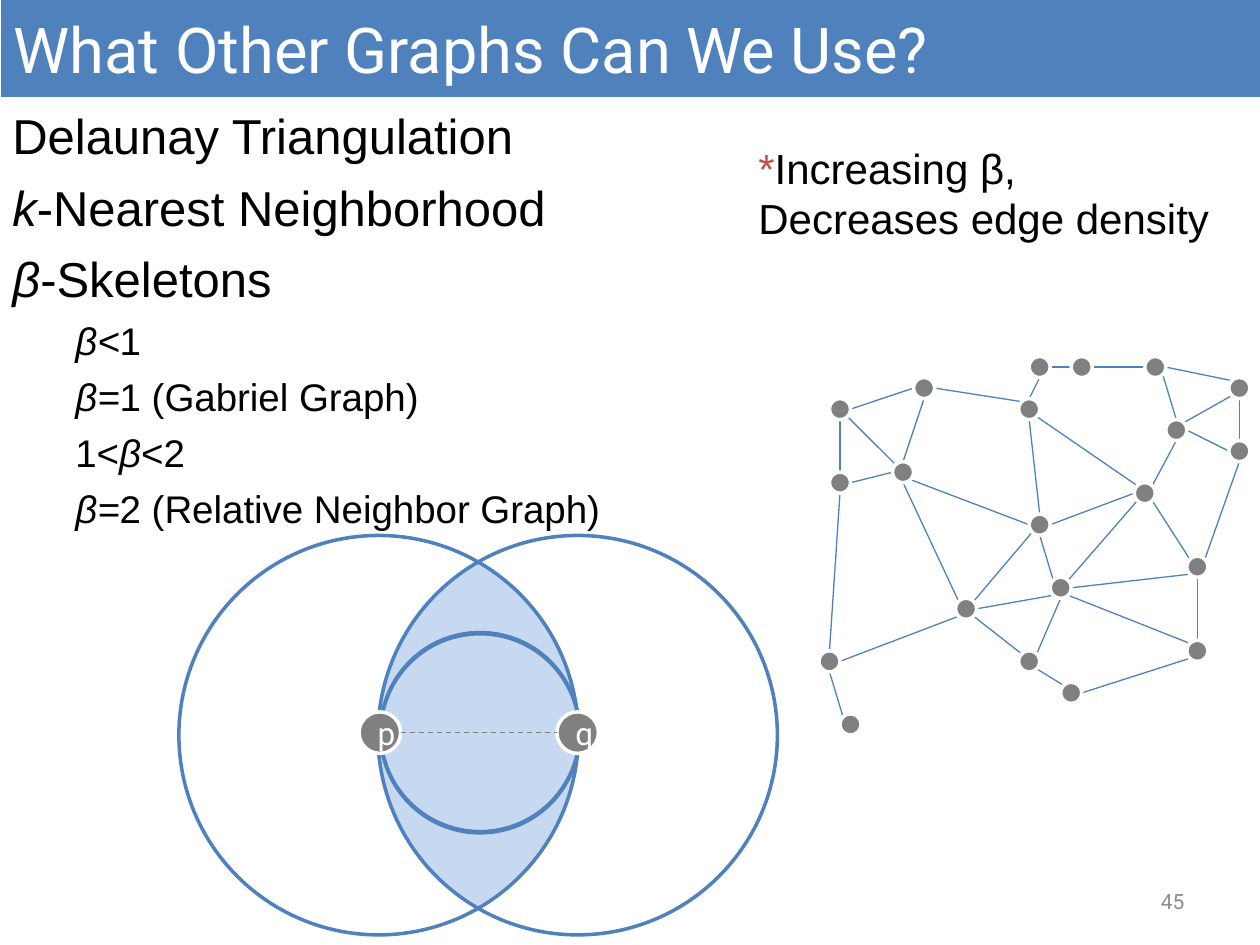
import math
import pptx
import pptx.dml.color
import pptx.enum.dml
import pptx.enum.shapes
import pptx.enum.text
import pptx.oxml
import pptx.oxml.ns
import pptx.util

Inches = pptx.util.Inches
Pt = pptx.util.Pt
SHAPES = pptx.enum.shapes.MSO_SHAPE
ALIGN = pptx.enum.text.PP_ALIGN
MIDDLE = pptx.enum.text.MSO_ANCHOR.MIDDLE

BLUE, PALE, GRAY = "4F81BD", "C6D9F1", "808080"
WHITE, BLACK, RED, NUMBER_GRAY = "FFFFFF", "000000", "C0504D", "8C8C8C"

BODY = [
    (0, [("Delaunay Triangulation", False)]),
    (0, [("k", True), ("-Nearest Neighborhood", False)]),
    (0, [("β", True), ("-Skeletons", False)]),
    (1, [("β<", True), ("1", False)]),
    (1, [("β=", True), ("1 (Gabriel Graph)", False)]),
    (1, [("1<", False), ("β", True), ("<2", False)]),
    (1, [("β=", True), ("2 (Relative Neighbor Graph)", False)]),
]
# Per level: size, left margin and space before
LEVELS = [(28, 0.38, 7.2), (22, 0.88, 5.5)]
HANGING = 0.38

# Node centres in grid steps from the corner of the graph; one step is a node radius
NODES = {
    "A": (36, 20), "B": (23, 22), "C": (14, 24), "D": (24, 32), "E": (36, 28),
    "F": (2, 5), "G": (10, 3), "H": (21, 1), "I": (25, 1), "J": (40, 3),
    "K": (34, 7), "L": (8, 11), "M": (21, 16), "N": (31, 13), "O": (20, 5),
    "P": (32, 1), "Q": (20, 29), "R": (2, 12), "S": (1, 29), "T": (3, 35),
    "U": (40, 9),
}
GRAPH_COLUMNS = 41
# Each end is a node and the compass side it leaves from
EDGES = """
F-se L-nw, R-s S-n, M-w L-se, L-s C-nw, O-se N-nw, B-sw C-e, M-sw C-ne, B-ne N-sw,
A-sw B-e, B-se E-nw, U-s A-ne, P-e J-nw, J-sw K-ne, F-s R-n, F-e G-w, L-w R-e,
T-nw S-s, C-sw S-e, G-s L-n, G-e O-nw, I-w H-e, H-s O-n, O-s M-n, C-se Q-nw,
Q-se D-nw, B-s Q-ne, M-s B-nw, M-e N-w, D-e E-sw, A-s E-n, N-se A-nw, K-s N-ne,
I-e P-w, P-se K-n, K-e U-w, J-s U-n
"""
COMPASS = ["e", "se", "s", "sw", "w", "nw", "n", "ne"]


def color(value):
    return pptx.dml.color.RGBColor.from_string(value)


def add_span(para, text, **formats):
    span = para.add_run()
    span.text = text
    span.font.color.rgb = color(formats.pop("color", BLACK))
    for name, value in formats.items():
        setattr(span.font, name, value)


def style_shape(shape, fill=None, line=None, width=2):
    shape.shadow.inherit = False
    if fill:
        shape.fill.solid()
        shape.fill.fore_color.rgb = color(fill)
    else:
        shape.fill.background()
    if line:
        shape.line.color.rgb = color(line)
        shape.line.width = Pt(width)
    else:
        shape.line.fill.background()


def add_circle(page, center, radius, **style):
    x, y = center
    shape = page.shapes.add_shape(
        SHAPES.OVAL, Inches(x - radius), Inches(y - radius),
        Inches(2 * radius), Inches(2 * radius))
    style_shape(shape, **style)
    return shape


def add_line(page, start, end, line):
    connector = page.shapes.add_connector(
        pptx.enum.shapes.MSO_CONNECTOR.STRAIGHT,
        *[Inches(value) for value in (*start, *end)])
    connector.line.color.rgb = color(line)
    connector.line.width = Pt(0.75)
    properties = connector._element.spPr
    properties.append(pptx.oxml.parse_xml(
        "<a:effectLst %s/>" % pptx.oxml.ns.nsdecls("a")))
    return connector


def add_text_box(page, box, wrap=True):
    frame = page.shapes.add_textbox(*[Inches(value) for value in box]).text_frame
    frame.word_wrap = wrap
    return frame


def point_on(center, radius, degrees):
    angle = math.radians(degrees)
    return (center[0] + radius * math.cos(angle), center[1] + radius * math.sin(angle))


def add_lune_circles(page, box):
    """Two circles through each other's centre, with their shared lens filled."""
    left, top, width, height = box
    radius = height / 2
    middle = top + radius
    p, q = (left + radius, middle), (left + width - radius, middle)
    half = math.degrees(math.acos((q[0] - p[0]) / 2 / radius))
    steps = [half * (step / 12 - 1) for step in range(25)]
    outline = [point_on(p, radius, angle) for angle in steps]
    outline += [point_on(q, radius, 180 + angle) for angle in steps]
    points = [(Inches(x), Inches(y)) for x, y in outline]
    builder = page.shapes.build_freeform(*points[0])
    builder.add_line_segments(points[1:], close=True)
    style_shape(builder.convert_to_shape(), fill=PALE, line=PALE)
    for center in (p, q):
        add_circle(page, center, radius, line=BLUE)


def add_body(page, box):
    frame = add_text_box(page, box)
    frame.margin_top = Inches(0.09)
    for index, (level, spans) in enumerate(BODY):
        para = frame.add_paragraph() if index else frame.paragraphs[0]
        size, margin, space = LEVELS[level]
        para.level = level
        properties = para._p.get_or_add_pPr()
        properties.set("marL", str(Inches(margin)))
        properties.set("indent", str(-Inches(HANGING)))
        if index:
            para.space_before = Pt(space)
        for text, italic in spans:
            add_span(para, text, size=Pt(size), name="Arial", italic=italic)


def add_graph(page, box):
    left, top, width, _ = box
    step = width / GRAPH_COLUMNS
    centers = {name: (left + step * x, top + step * y) for name, (x, y) in NODES.items()}

    def end_point(end):
        name, side = end.split("-")
        return point_on(centers[name], step, 45 * COMPASS.index(side))

    for edge in EDGES.split(","):
        start, end = edge.split()
        add_line(page, end_point(start), end_point(end), BLUE)
    for center in centers.values():
        add_circle(page, center, step, fill=GRAY, line=WHITE)


def add_labelled_pair(page, box):
    """Points p and q at the two ends of the box, joined by a dashed line."""
    left, top, width, height = box
    radius = height / 2
    middle = top + radius
    for label, x in (("p", left + radius), ("q", left + width - radius)):
        frame = add_circle(page, (x, middle), radius, fill=GRAY, line=WHITE).text_frame
        frame.vertical_anchor = MIDDLE
        frame.paragraphs[0].alignment = ALIGN.CENTER
        add_span(frame.paragraphs[0], label, size=Pt(18), name="Roboto", color=WHITE)
    dashed = add_line(page, (left + height, middle), (left + width - height, middle), GRAY)
    dashed.line.dash_style = pptx.enum.dml.MSO_LINE.DASH


def add_page_number(page, box):
    frame = add_text_box(page, box)
    frame.vertical_anchor = MIDDLE
    frame.paragraphs[0].alignment = ALIGN.RIGHT
    add_span(frame.paragraphs[0], "45", size=Pt(12), name="Roboto", color=NUMBER_GRAY)


def add_note(page, box):
    frame = add_text_box(page, box, wrap=False)
    font = {"size": Pt(24), "name": "Arial"}
    add_span(frame.paragraphs[0], "*", color=RED, **font)
    add_span(frame.paragraphs[0], "Increasing β,", **font)
    add_span(frame.add_paragraph(), "Decreases edge density", **font)


def add_title(page, box):
    bar = page.shapes.add_shape(SHAPES.RECTANGLE, *[Inches(value) for value in box])
    style_shape(bar, fill=BLUE)
    frame = bar.text_frame
    frame.vertical_anchor = MIDDLE
    frame.paragraphs[0].alignment = ALIGN.LEFT
    add_span(frame.paragraphs[0], "What Other Graphs Can We Use?",
             size=Pt(36.1), name="Roboto", color=WHITE)


def main():
    deck = pptx.Presentation()
    deck.slide_width, deck.slide_height = Inches(10), Inches(7.5)
    page = deck.slides.add_slide(deck.slide_layouts[6])
    add_lune_circles(page, (1.42, 4.25, 4.75, 3.17))
    add_circle(page, (3.81, 5.82), 0.79, line=BLUE)
    add_body(page, (0, 0.75, 10, 3.97))
    add_circle(page, (3.81, 5.81), 0.79, line=BLUE)
    add_graph(page, (6.5, 2.83, 3.42, 3))
    add_labelled_pair(page, (2.85, 5.65, 1.9, 0.33))
    add_page_number(page, (7.17, 6.95, 2.33, 0.4))
    add_note(page, (5.92, 1.08, 3.82, 0.91))
    add_title(page, (0.01, 0, 9.99, 0.77))
    deck.save("out.pptx")


if __name__ == "__main__":
    main()
